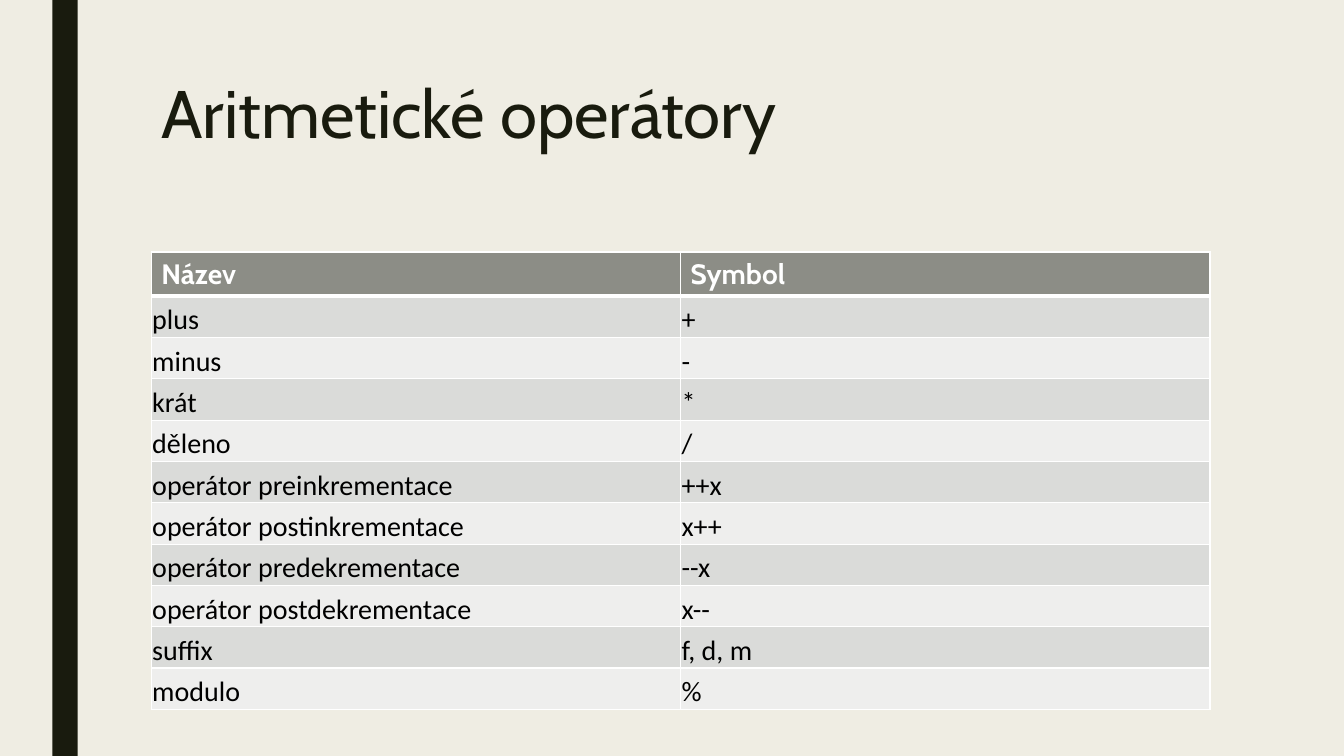
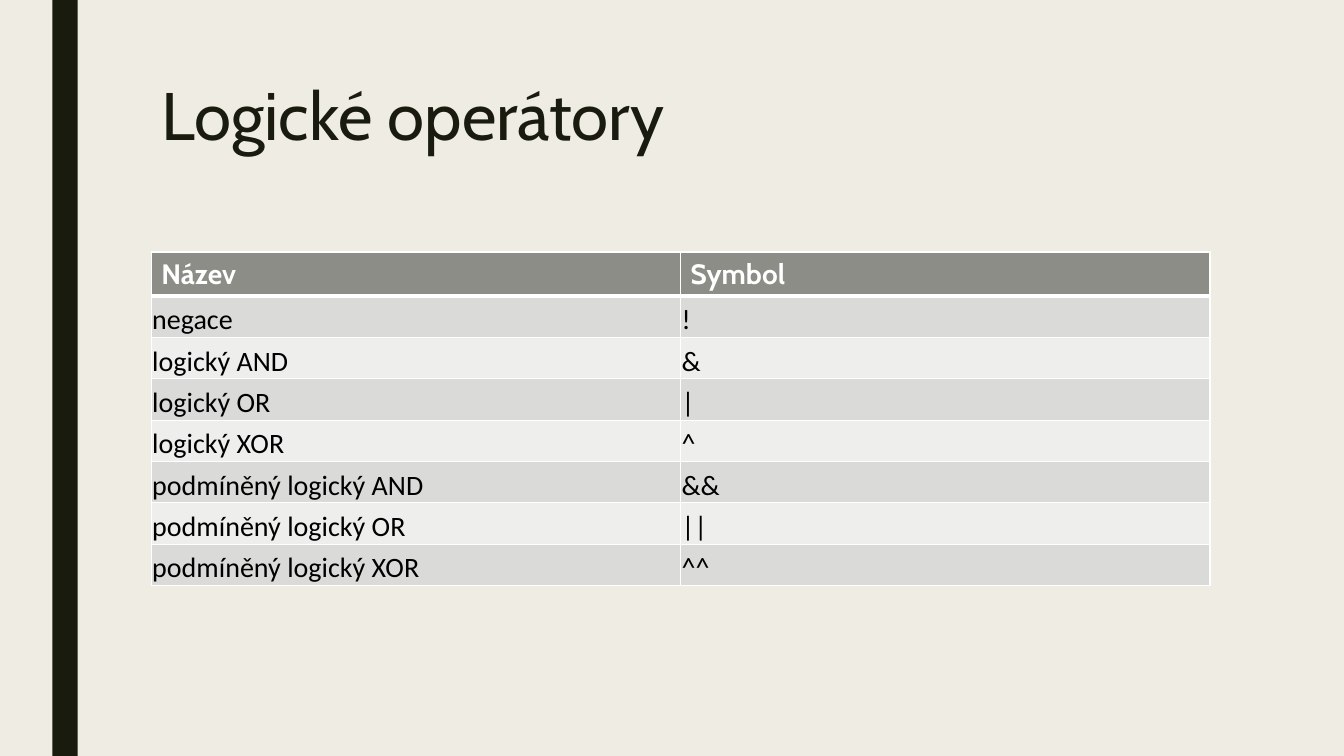
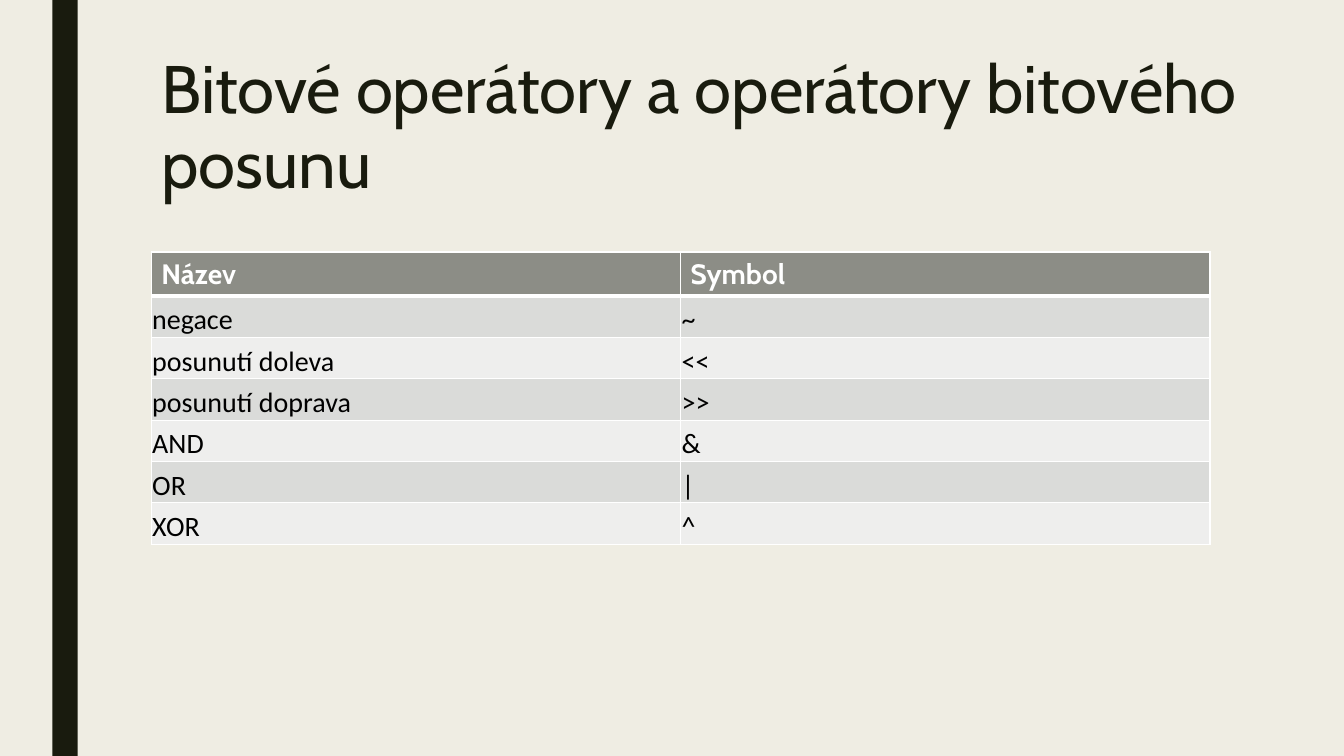
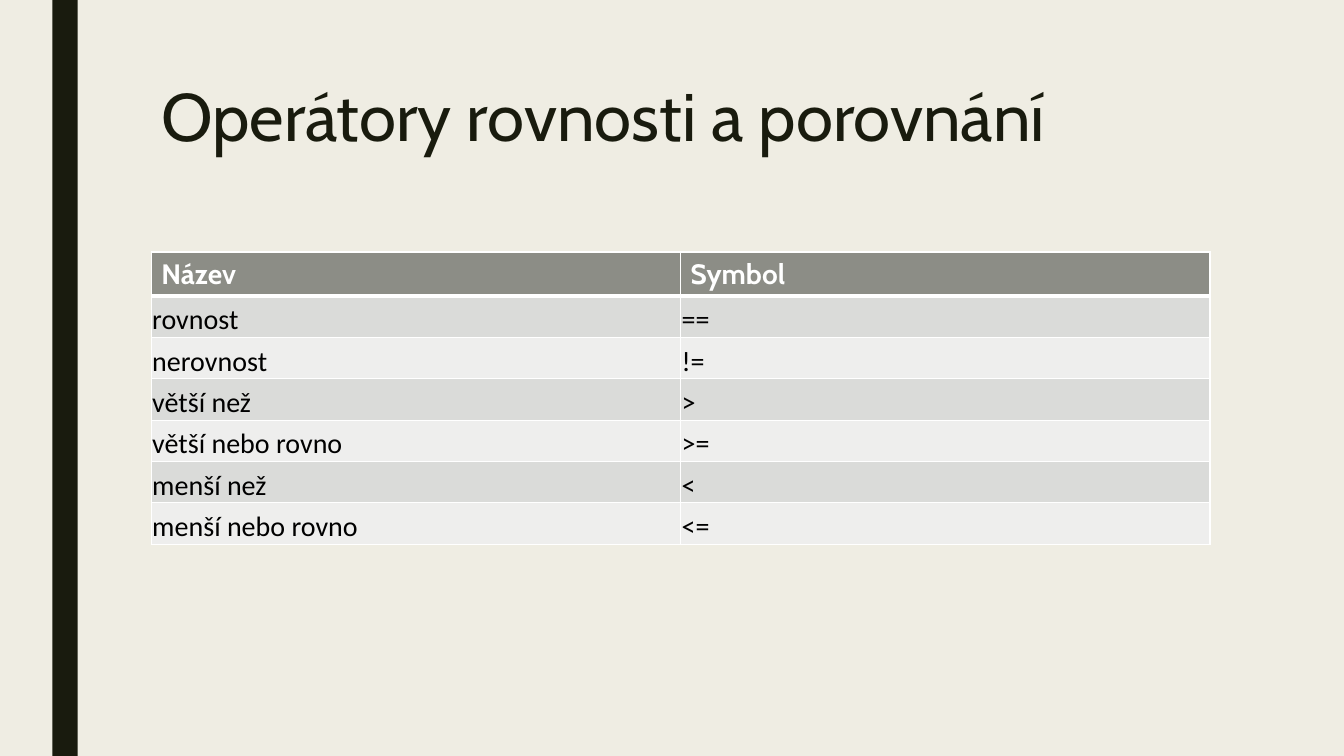
from dataclasses import dataclass

from lxml import etree
from pptx import Presentation
from pptx import util as u
from pptx.dml.color import RGBColor
from pptx.enum import shapes, text
from pptx.oxml import ns

HEAD = ("Název", "Symbol")

# title, title box (left, top, width, height), paragraph format, rows
TIGHT = dict(line_spacing=0.89, space_before=u.Pt(0), space_after=u.Pt(0))
LOOSE = dict(line_spacing=0.94, space_before=u.Pt(10), space_after=u.Pt(2))
SLIDES = [
    ("Aritmetické operátory", (1.5, 0.75, 10.5, 0.9), TIGHT, [
        ("plus", "+"),
        ("minus", "-"),
        ("krát", "*"),
        ("děleno", "/"),
        ("operátor preinkrementace", "++x"),
        ("operátor postinkrementace", "x++"),
        ("operátor predekrementace", "--x"),
        ("operátor postdekrementace", "x--"),
        ("suffix", "f, d, m"),
        ("modulo", "%"),
    ]),
    ("Logické operátory", (1.5, 0.77, 10.5, 1.62), TIGHT, [
        ("negace", "!"),
        ("logický AND", "&"),
        ("logický OR", "|"),
        ("logický XOR", "^"),
        ("podmíněný logický AND", "&&"),
        ("podmíněný logický OR", "||"),
        ("podmíněný logický XOR", "^^"),
    ]),
    ("Bitové operátory a operátory bitového posunu",
     (1.5, 0.47, 12.8, 0.82), LOOSE, [
        ("negace", "~"),
        ("posunutí doleva", "<<"),
        ("posunutí doprava", ">>"),
        ("AND", "&"),
        ("OR", "|"),
        ("XOR", "^"),
    ]),
    ("Operátory rovnosti a porovnání", (1.5, 0.75, 10.5, 0.95), LOOSE, [
        ("rovnost", "=="),
        ("nerovnost", "!="),
        ("větší než", ">"),
        ("větší nebo rovno", ">="),
        ("menší než", "<"),
        ("menší nebo rovno", "<="),
    ]),
]


@dataclass(frozen=True)
class Theme:
    paper: str = "EFEDE3"
    ink: str = "191B0E"
    head: str = "8C8D86"
    bands: tuple = ("DADBD9", "EEEEED")
    white: str = "FFFFFF"
    black: str = "000000"
    font: str = "Cabin"
    plain: str = "Calibri"
    title: int = 48
    cell: int = 20
    thin: int = 1
    thick: int = 3


T = Theme()
BAR = (0.52, 0, 0.25, 7.5)
LEFT, TOP, COL, ROW = 1.5, 2.5, 5.25, 0.41
INSETS = dict(margin_left=0.01, margin_top=0.01, margin_right=0.01,
              margin_bottom=0)


def box(*sides):
    return [u.Inches(side) for side in sides]


def paint(fill, color):
    fill.solid()
    fill.fore_color.rgb = RGBColor.from_string(color)


def apply(obj, form):
    for key, value in form.items():
        setattr(obj, key, value)


def write(frame, words, color, **form):
    frame.text = words
    para = frame.paragraphs[0]
    para.alignment = text.PP_ALIGN.LEFT
    font = para.runs[0].font
    apply(font, form)
    font.color.rgb = RGBColor.from_string(color)
    return para


def border(cell, top, bottom):
    props = cell._tc.get_or_add_tcPr()
    sides = dict(lnL=T.thin, lnR=T.thin, lnT=top, lnB=bottom)
    for spot, (tag, width) in enumerate(sides.items()):
        line = etree.Element(ns.qn("a:" + tag), w=str(u.Pt(width)))
        fill = etree.SubElement(line, ns.qn("a:solidFill"))
        etree.SubElement(fill, ns.qn("a:srgbClr"), val=T.white)
        props.insert(spot, line)


def add_title(slide, words, place, spacing):
    title = slide.shapes.title
    apply(title, dict(zip(("left", "top", "width", "height"), box(*place))))
    frame = title.text_frame
    apply(frame, dict(word_wrap=True, auto_size=text.MSO_AUTO_SIZE.NONE,
                      vertical_anchor=text.MSO_ANCHOR.TOP))
    para = write(frame, words, T.ink, name=T.font, size=u.Pt(T.title))
    apply(para, spacing)


def add_grid(slide, rows):
    lines = [HEAD, *rows]
    place = box(LEFT, TOP, COL * len(HEAD), ROW * len(lines))
    grid = slide.shapes.add_table(len(lines), len(HEAD), *place).table
    for col in grid.columns:
        col.width = u.Inches(COL)
    for i, line in enumerate(lines):
        grid.rows[i].height = u.Inches(ROW)
        for j, words in enumerate(line):
            cell = grid.cell(i, j)
            if i == 0:
                shade, color, name = T.head, T.white, T.font
            else:
                shade, color, name = T.bands[(i - 1) % 2], T.black, T.plain
                apply(cell, {k: u.Inches(v) for k, v in INSETS.items()})
                cell.vertical_anchor = text.MSO_ANCHOR.BOTTOM
            paint(cell.fill, shade)
            border(cell, T.thick if i == 1 else T.thin,
                   T.thick if i == 0 else T.thin)
            write(cell.text_frame, words, color, name=name,
                  size=u.Pt(T.cell), bold=i == 0)


def dress(master, slide):
    """Give the master its background and side bar, drawn via a slide."""
    paint(master.background.fill, T.paper)
    bar = slide.shapes.add_shape(shapes.MSO_SHAPE.RECTANGLE, *box(*BAR))
    bar.shadow.inherit = False
    paint(bar.fill, T.ink)
    bar.line.fill.background()
    master.shapes._spTree.insert(2, bar._element)


def main():
    deck = Presentation()
    deck.slide_width, deck.slide_height = box(13.33, 7.5)
    layout = deck.slide_layouts.get_by_name("Title Only")
    for words, place, spacing, rows in SLIDES:
        slide = deck.slides.add_slide(layout)
        add_title(slide, words, place, spacing)
        add_grid(slide, rows)
    dress(deck.slide_master, slide)
    deck.save("out.pptx")


if __name__ == "__main__":
    main()
